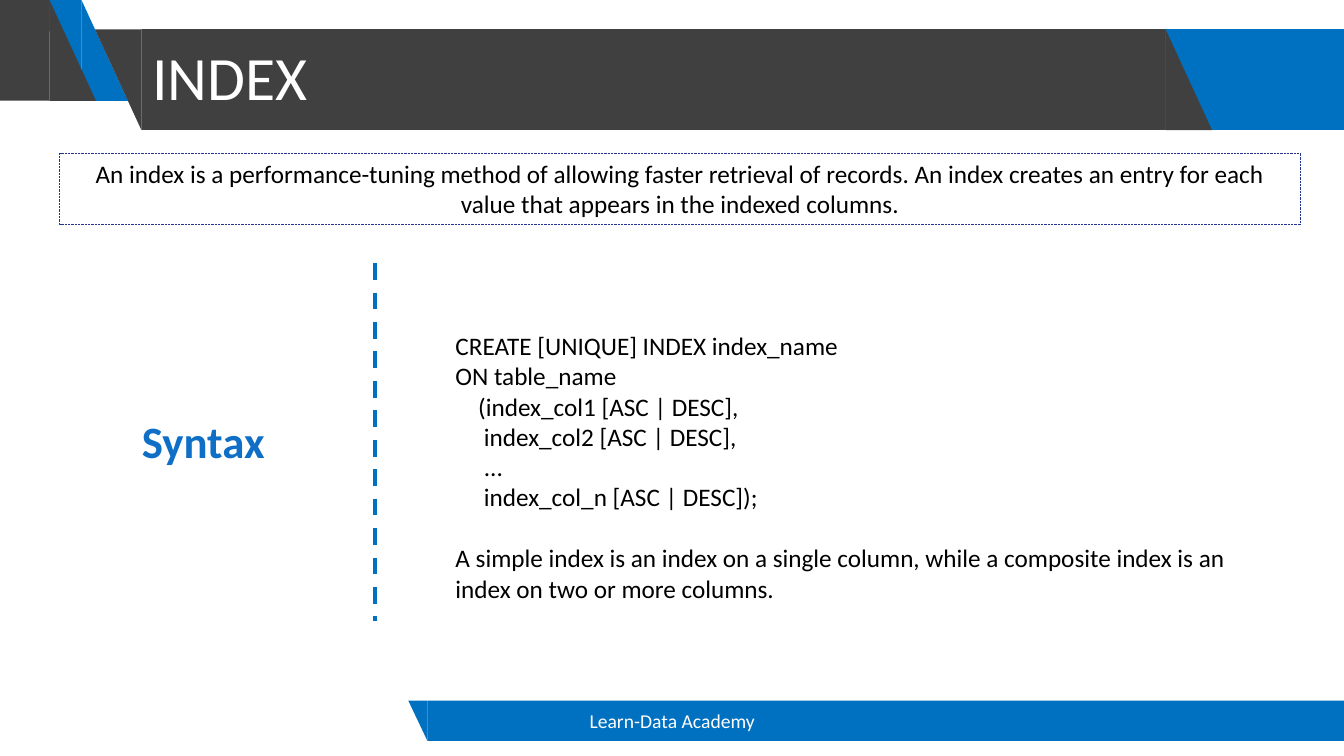
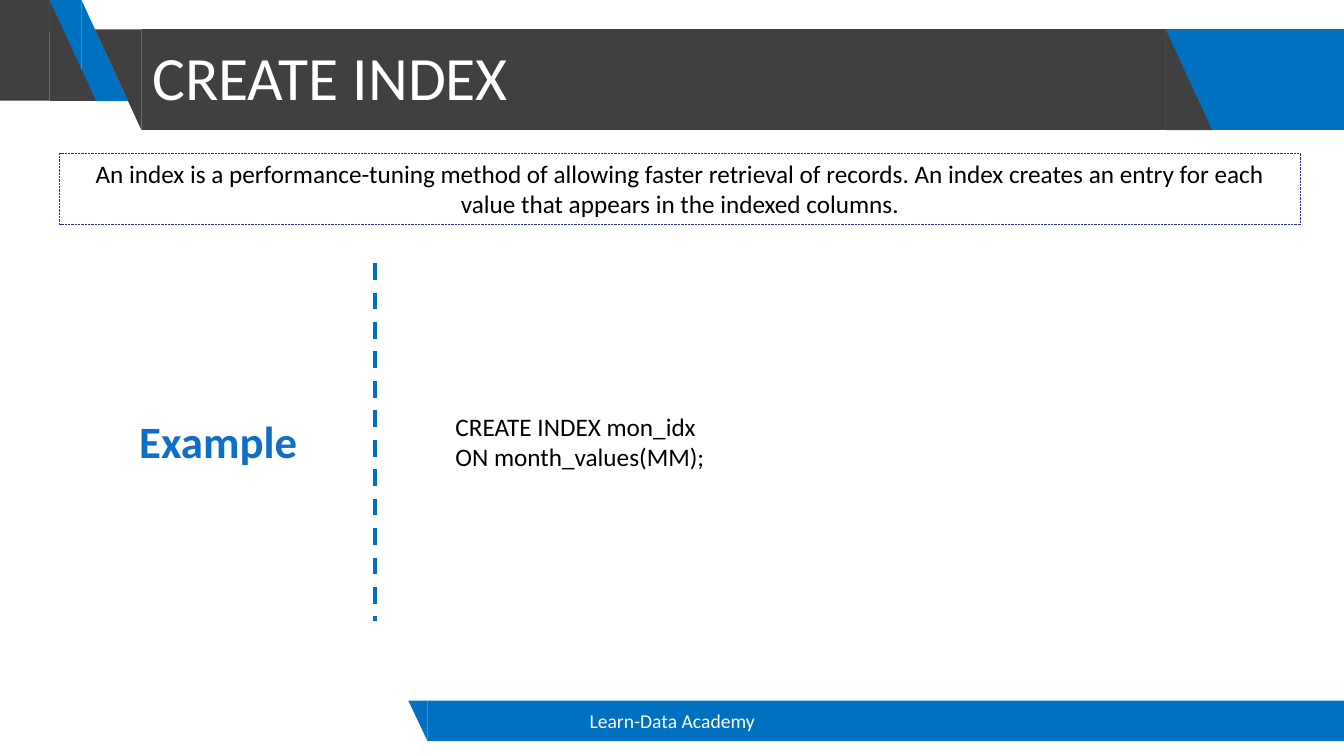
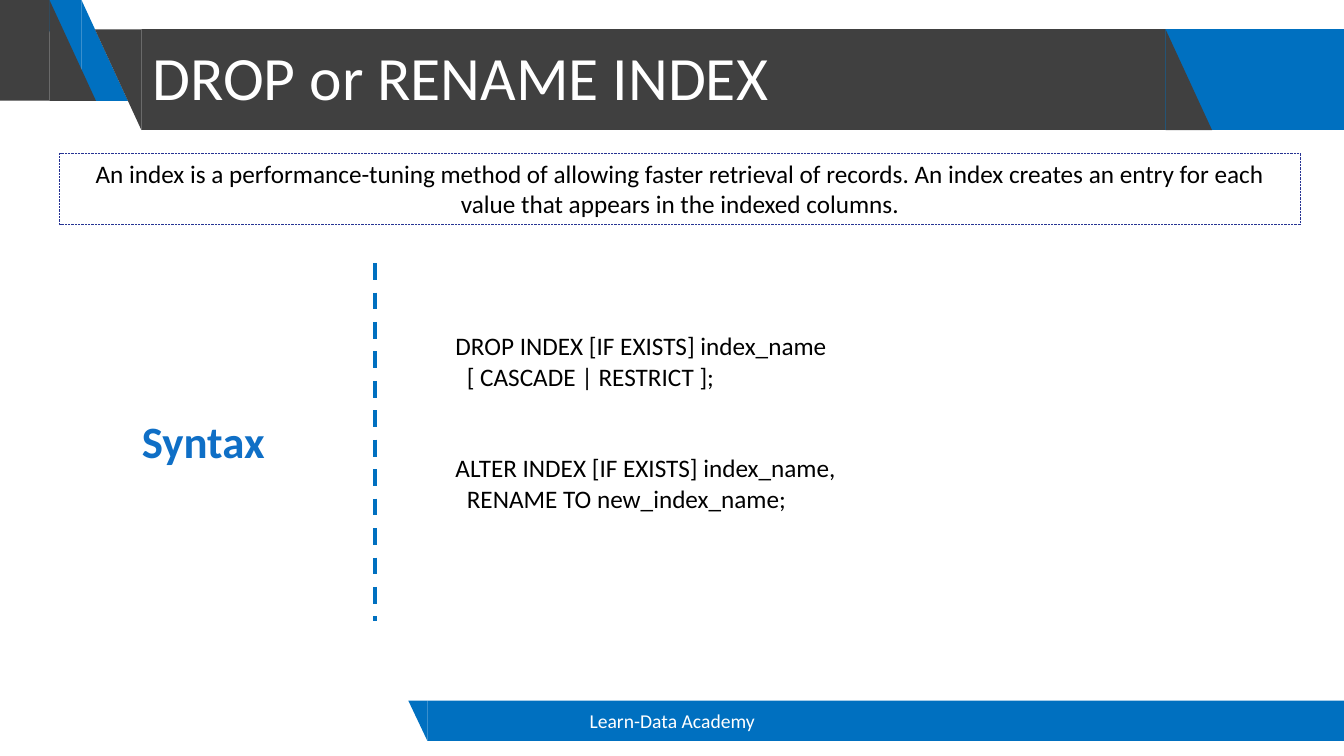
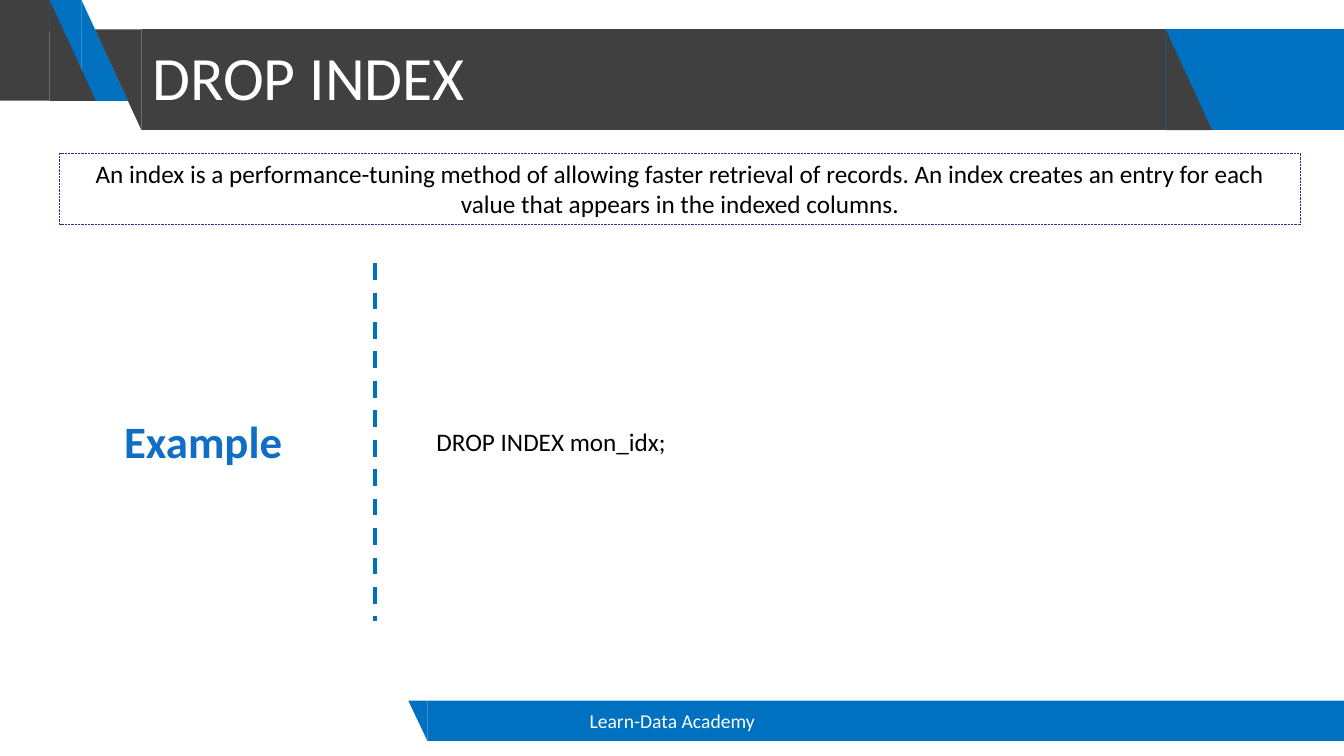
"""Build four slides on SQL indexes with a shared header and footer band."""
from pptx import Presentation
from pptx import util as u
from pptx.dml.color import RGBColor
from pptx.enum import dml, shapes, text
from pptx.oxml import parse_xml
from pptx.oxml.ns import nsdecls

BLUE = RGBColor(0x00, 0x70, 0xC0)
DARK = RGBColor(0x40, 0x40, 0x40)
NAVY = RGBColor(0x26, 0x33, 0x93)
SKY = RGBColor(0x0F, 0x6F, 0xC6)
BLACK = RGBColor(0, 0, 0)
WHITE = RGBColor(255, 255, 255)
LEFT, MID = text.PP_ALIGN.LEFT, text.PP_ALIGN.CENTER
RECT = shapes.MSO_SHAPE.RECTANGLE
WEDGE = shapes.MSO_SHAPE.RIGHT_TRIANGLE
TOP, CENTER = text.MSO_ANCHOR.TOP, text.MSO_ANCHOR.MIDDLE
FIT, FIXED = text.MSO_AUTO_SIZE.SHAPE_TO_FIT_TEXT, text.MSO_AUTO_SIZE.NONE

deck = Presentation()
deck.slide_width, deck.slide_height = u.Inches(13.33), u.Inches(7.5)


def area(x, y, w, h):
    """Turn percentages of the slide into lengths."""
    wide, high = deck.slide_width / 100, deck.slide_height / 100
    return [u.Emu(round(n)) for n in (x * wide, y * high, w * wide, h * high)]


def write(frame, blocks, size, color, align=LEFT, bold=False, anchor=TOP, gap=0):
    """Fill a frame with blocks of lines, with a gap before each later block."""
    frame.word_wrap = True
    frame.vertical_anchor = anchor
    frame.auto_size = FIT if anchor == TOP else FIXED
    lines = [(line, i and not j) for i, block in enumerate(blocks)
             for j, line in enumerate(block.split("\n"))]
    for k, (line, apart) in enumerate(lines):
        para = frame.add_paragraph() if k else frame.paragraphs[0]
        para.text, para.alignment = line, align
        if apart:
            para.space_before = u.Pt(gap)
        font = para.font
        font.name, font.size, font.bold = "Calibri", u.Pt(size), bold
        font.color.rgb = color


NOTE = ("An index is a performance-tuning method of allowing faster retrieval of "
        "records. An index creates an entry for each value that appears in the "
        "indexed columns.")
CREATE = """CREATE [UNIQUE] INDEX index_name
ON table_name
    (index_col1 [ASC | DESC],
     index_col2 [ASC | DESC],
     ...
     index_col_n [ASC | DESC]);"""
SIMPLE = ("A simple index is an index on a single column, while a composite index "
          "is an index on two or more columns.")
DROP = "DROP INDEX [IF EXISTS] index_name\n  [ CASCADE | RESTRICT ];"
RENAME = "ALTER INDEX [IF EXISTS] index_name,\n  RENAME TO new_index_name;"

cards = [
    ("INDEX", "Syntax", 2.33, (33.15, 43.07, 61.95, 37.73), 22, [CREATE, SIMPLE]),
    ("CREATE INDEX", "Example", 3.45, (33.15, 53.73, 61.95, 9.47), 0,
     ["CREATE INDEX mon_idx\nON month_values(MM);"]),
    ("DROP or RENAME INDEX", "Syntax", 2.33, (33.15, 43.07, 61.95, 25.6), 44,
     [DROP, RENAME]),
    ("DROP INDEX", "Example", 2.33, (31.73, 55.73, 61.95, 5.33), 0,
     ["DROP INDEX mon_idx;"]),
]

plan = deck.slide_layouts[5]
for holder in list(plan.placeholders)[1:]:
    holder.element.getparent().remove(holder.element)
pages = [deck.slides.add_slide(plan) for card in cards]

HIGH, DROP_Y, SLANT = 13.33, 3.87, 3.46
FOOT, THICK = 92.67, 5.33
bands = [
    (RECT, 80.1, DROP_Y, 19.9, HIGH, 0, BLUE),
    (WEDGE, 6.06, 0, SLANT, HIGH, 0, BLUE),
    (WEDGE, 6.06 - SLANT, 0, SLANT, HIGH, 180, BLUE),
    (RECT, 0, 0, 3.68, HIGH, 0, DARK),
    (WEDGE, 3.68, 0, SLANT, HIGH, 0, DARK),
    (WEDGE, 10.52 - SLANT, DROP_Y, SLANT, HIGH, 180, DARK),
    (RECT, 10.52, DROP_Y, 76.2, HIGH, 0, DARK),
    (WEDGE, 86.72, DROP_Y, SLANT, HIGH, 0, DARK),
    (RECT, 31.8, FOOT, 68.2, THICK, 0, BLUE),
    (WEDGE, 30.38, FOOT, 1.42, THICK, 180, BLUE),
]
drawn = []
for kind, x, y, w, h, turn, color in bands:
    band = pages[0].shapes.add_shape(kind, *area(x, y, w, h))
    band.rotation = turn
    band.shadow.inherit = False
    band.fill.solid()
    band.fill.fore_color.rgb = color
    band.line.fill.background()
    drawn.append(band.element)
for i, part in enumerate(drawn):
    plan.shapes.element.insert(2 + i, part)

for page, (head, label, left, place, gap, blocks) in zip(pages, cards):
    title = page.shapes.title
    title.left, title.top, title.width, title.height = area(10.58, 0.93, 76.05, 19.33)
    write(title.text_frame, [head], 44, WHITE, anchor=CENTER)
    title.text_frame.paragraphs[0].line_spacing = 0.9

    foot = page.shapes.add_textbox(*area(33.15, FOOT, 33.75, THICK))
    write(foot.text_frame, ["Learn-Data Academy"], 14, WHITE, MID, anchor=CENTER)

    note = page.shapes.add_shape(RECT, *area(4.43, 20.27, 92.33, 9.47))
    note.shadow.inherit = False
    note.fill.background()
    note.line.color.rgb = NAVY
    note.line.width = u.Pt(0.5)
    note.line.dash_style = dml.MSO_LINE.ROUND_DOT
    write(note.text_frame, [NOTE], 18, BLACK, MID)

    x, y, w, h = area(27.9, 34.8, 0, 47.33)
    rule = page.shapes.add_connector(shapes.MSO_CONNECTOR.STRAIGHT, x, y, x, y + h)
    rule.line.color.rgb = BLUE
    rule.line.width = u.Pt(3)
    rule.line.dash_style = dml.MSO_LINE.DASH
    rule.element.spPr.append(parse_xml(f"<a:effectLst {nsdecls('a')}/>"))

    tag = page.shapes.add_textbox(*area(left, 54.13, 25.58, 8.53))
    write(tag.text_frame, [label], 32, SKY, MID, bold=True)

    code = page.shapes.add_textbox(*area(*place))
    write(code.text_frame, blocks, 18, BLACK, gap=gap)

deck.save("out.pptx")
